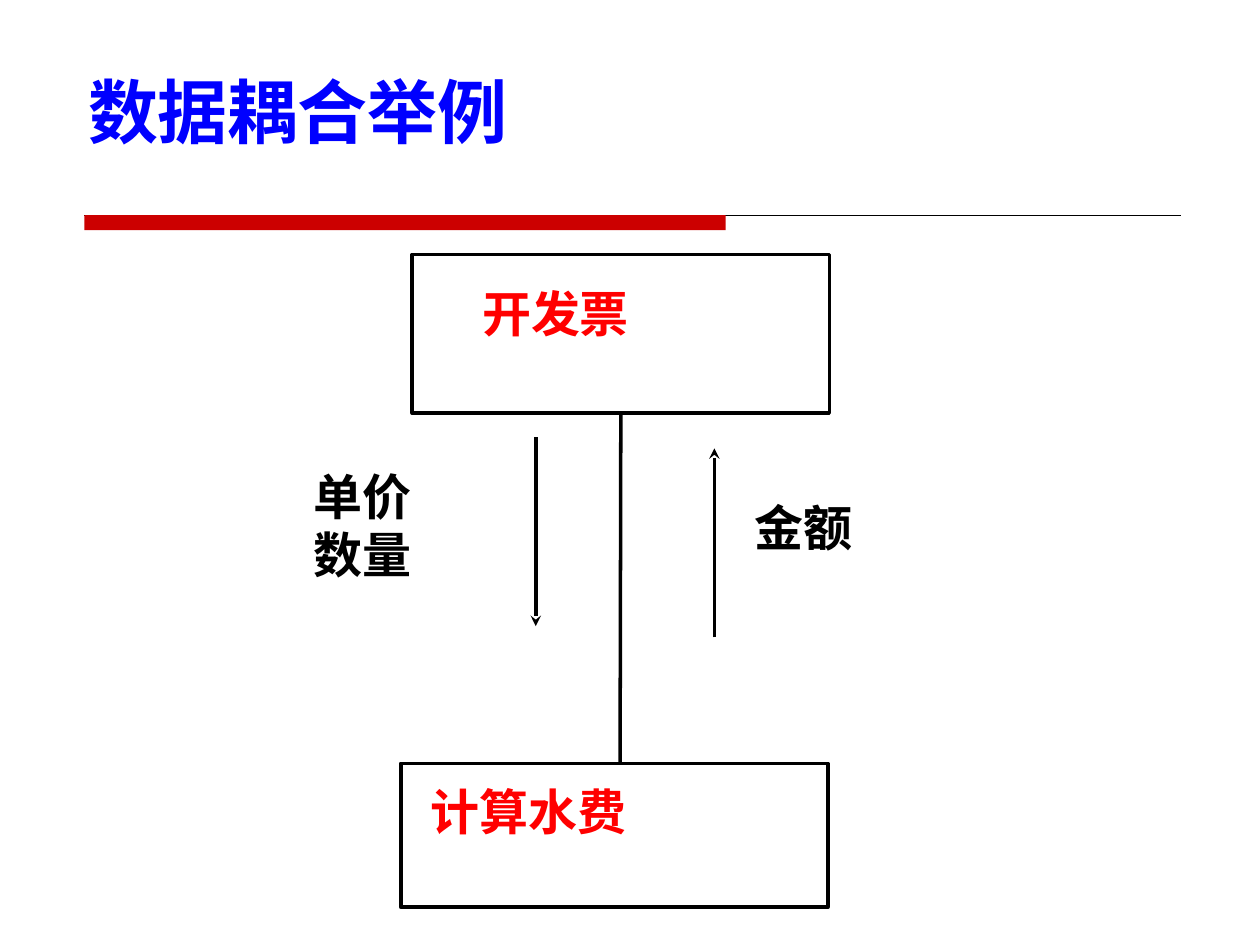
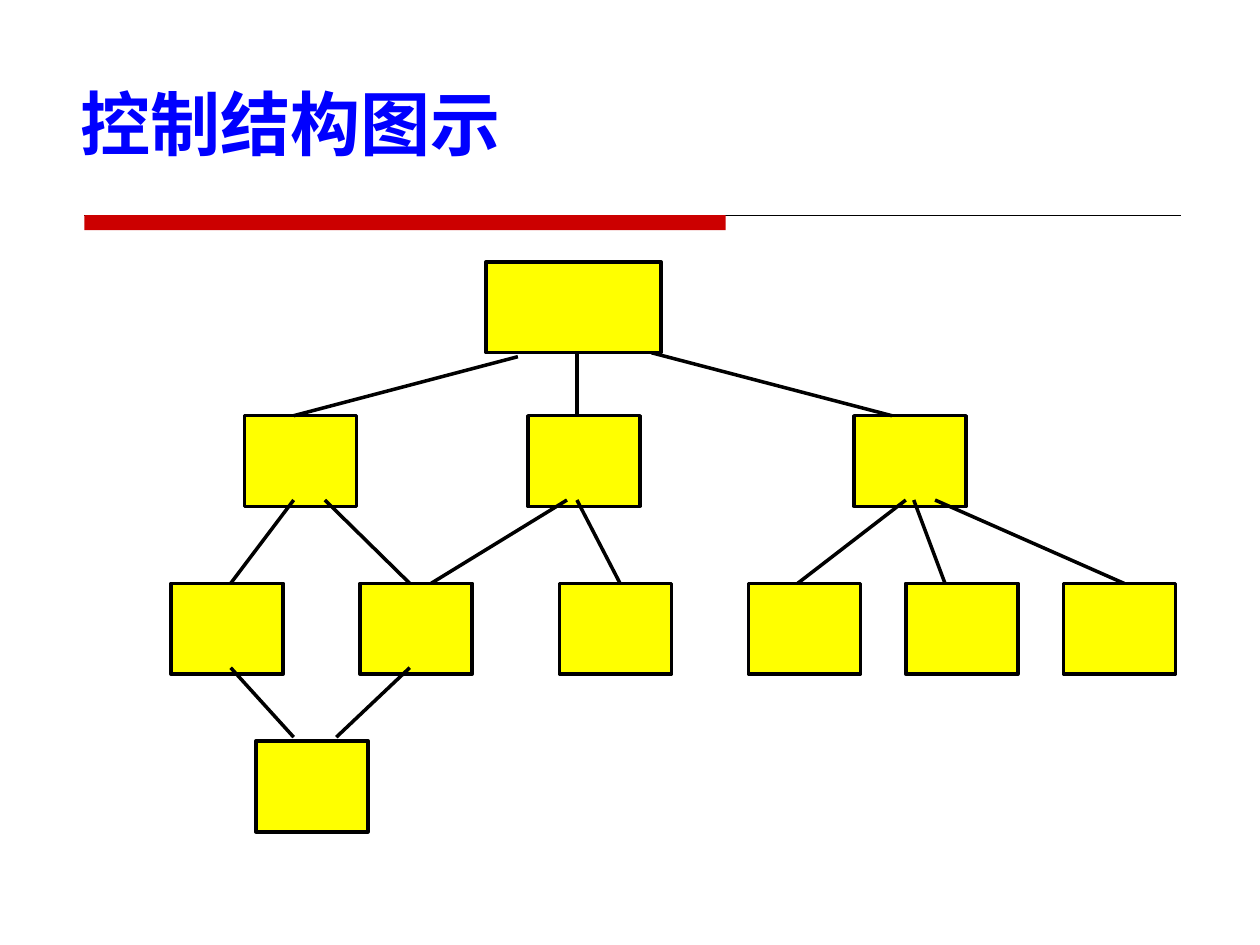
import pptx
import pptx.util
from pptx.dml.color import RGBColor
from pptx.enum.shapes import MSO_CONNECTOR, MSO_SHAPE
from pptx.enum.text import MSO_ANCHOR, MSO_AUTO_SIZE, PP_ALIGN
from pptx.oxml.ns import qn
from pptx.util import Cm, Pt
from lxml import etree

FONT = "Noto Sans CJK SC"
BLUE = RGBColor(0x00, 0x00, 0xFF)
RED = RGBColor(0xFF, 0x00, 0x00)
BAND_RED = RGBColor(0xCC, 0x00, 0x00)
YELLOW = RGBColor(0xFF, 0xFF, 0x00)
WHITE = RGBColor(0xFF, 0xFF, 0xFF)
BLACK = RGBColor(0x00, 0x00, 0x00)


def write(tf, text, size, color):
    """Fill a text frame, one bold paragraph per line of text."""
    tf.text = text
    for p in tf.paragraphs:
        p.alignment = PP_ALIGN.LEFT
        p.font.size = Pt(size)
        p.font.bold = True
        p.font.color.rgb = color
        p.font.name = FONT
        props = p._p.pPr.find(qn("a:defRPr"))
        etree.SubElement(props, qn("a:ea"), typeface=FONT)


def add_line(s, x1, y1, x2, y2, width=2, arrow=False):
    line = s.shapes.add_connector(MSO_CONNECTOR.STRAIGHT, Cm(x1), Cm(y1), Cm(x2), Cm(y2))
    line.line.color.rgb = BLACK
    line.line.width = Pt(width)
    if arrow:
        etree.SubElement(line.line._get_or_add_ln(), qn("a:tailEnd"), type="stealth")
    etree.SubElement(line._element.spPr, qn("a:effectLst"))
    return line


prs = pptx.Presentation()
prs.slide_width, prs.slide_height = Cm(25.4), Cm(19.05)

# Title, red band and thin rule on both slides
slides = []
for title, left, top, width, height in [
    ("数据耦合举例", 1.52, 1.14, 18.42, 2.16),
    ("控制结构图示", 1.37, 1.27, 21.59, 2.39),
]:
    s = prs.slides.add_slide(prs.slide_layouts[5])
    slides.append(s)
    add_line(s, 1.7, 4.34, 23.8, 4.34, width=0.75)
    band = s.shapes.add_shape(MSO_SHAPE.RECTANGLE, Cm(1.7), Cm(4.34), Cm(12.93), Cm(0.3))
    band.shadow.inherit = False
    band.fill.solid()
    band.fill.fore_color.rgb = BAND_RED
    band.line.fill.background()
    sp = s.shapes.title
    sp.left, sp.top, sp.width, sp.height = Cm(left), Cm(top), Cm(width), Cm(height)
    tf = sp.text_frame
    tf.auto_size = MSO_AUTO_SIZE.NONE
    tf.vertical_anchor = MSO_ANCHOR.MIDDLE
    write(tf, title, 40, BLUE)
coupling, control = slides

# Module boxes: slide, fill, left, top, width, height
modules = [
    (coupling, WHITE, 8.31, 5.13, 8.41, 3.2),
    (coupling, WHITE, 8.08, 15.39, 8.61, 2.9),
    (control, YELLOW, 9.8, 5.28, 3.53, 1.83),
]
for top, lefts in [
    (8.38, [4.93, 10.64, 17.22]),
    (11.76, [3.45, 7.26, 11.28, 15.09, 18.26, 21.44]),
    (14.94, [5.16]),
]:
    modules += [(control, YELLOW, left, top, 2.26, 1.83) for left in lefts]

boxes = []
for s, color, left, top, width, height in modules:
    sp = s.shapes.add_shape(MSO_SHAPE.RECTANGLE, Cm(left), Cm(top), Cm(width), Cm(height))
    sp.shadow.inherit = False
    sp.fill.solid()
    sp.fill.fore_color.rgb = color
    sp.line.color.rgb = BLACK
    sp.line.width = Pt(2)
    boxes.append(sp)

# Data coupling: call line, data arrows and labels
call = add_line(coupling, 12.5, 8.33, 12.5, 15.39)
call.begin_connect(boxes[0], 2)
add_line(coupling, 10.8, 8.81, 10.8, 12.62, arrow=True)
add_line(coupling, 14.4, 12.85, 14.4, 9.04, arrow=True)

for text, color, left, top, width, height, wrap in [
    ("开发票", RED, 9.47, 5.59, 3.48, 1.45, False),
    ("计算水费", RED, 8.43, 15.62, 4.47, 1.45, False),
    ("单价\n数量", BLACK, 6.07, 9.27, 4.88, 2.62, True),
    ("金额", BLACK, 14.96, 9.91, 4.45, 1.45, True),
]:
    tf = coupling.shapes.add_textbox(Cm(left), Cm(top), Cm(width), Cm(height)).text_frame
    tf.word_wrap = wrap
    tf.auto_size = MSO_AUTO_SIZE.SHAPE_TO_FIT_TEXT
    write(tf, text, 28, color)

# Control structure: calls from each level to the next
for y1, y2, calls in [
    (7.11, 8.38, [(13.13, 17.98), (11.63, 11.63)]),
    (7.19, 8.38, [(10.44, 5.92)]),
    (10.08, 11.76, [(5.92, 4.65), (6.55, 8.26), (11.43, 8.69), (11.63, 12.5),
                    (18.26, 16.08), (18.42, 19.05), (18.85, 22.66)]),
    (13.46, 14.86, [(8.26, 6.78), (4.65, 5.92)]),
]:
    for x1, x2 in calls:
        add_line(control, x1, y1, x2, y2)

prs.save("out.pptx")
